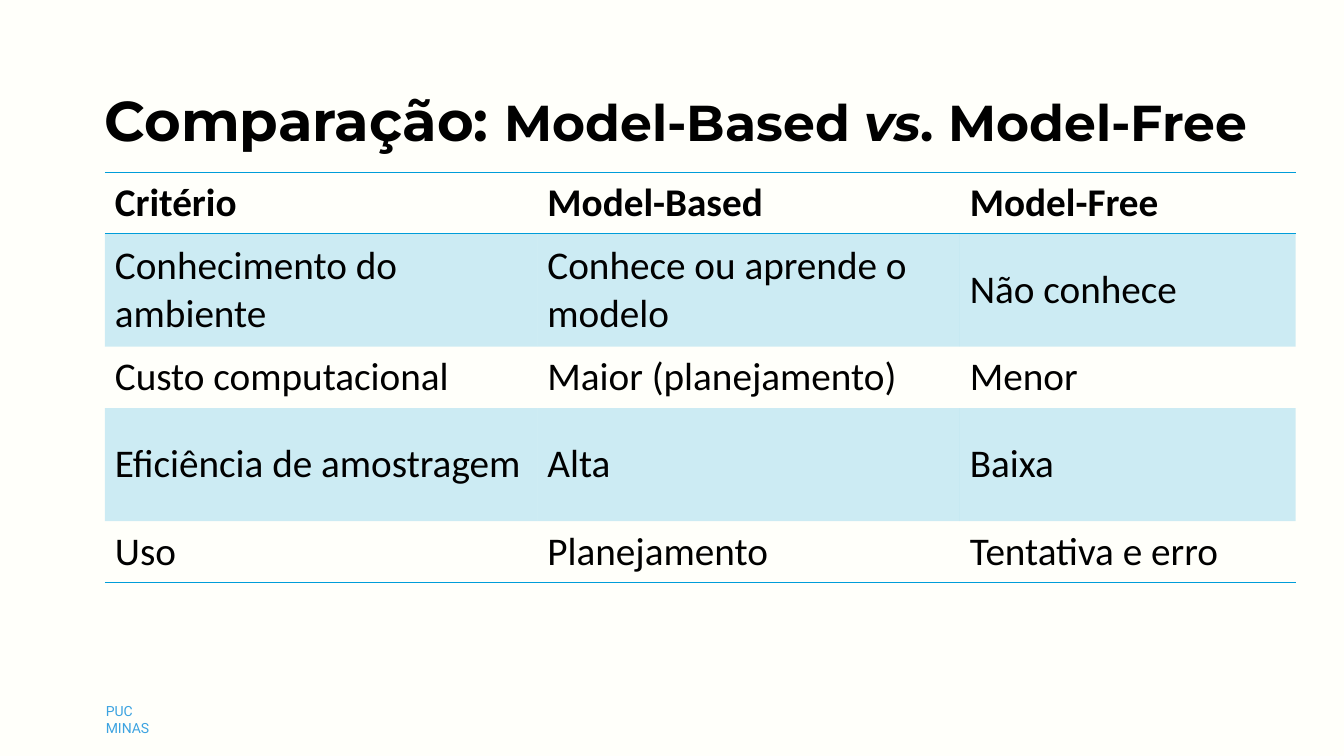
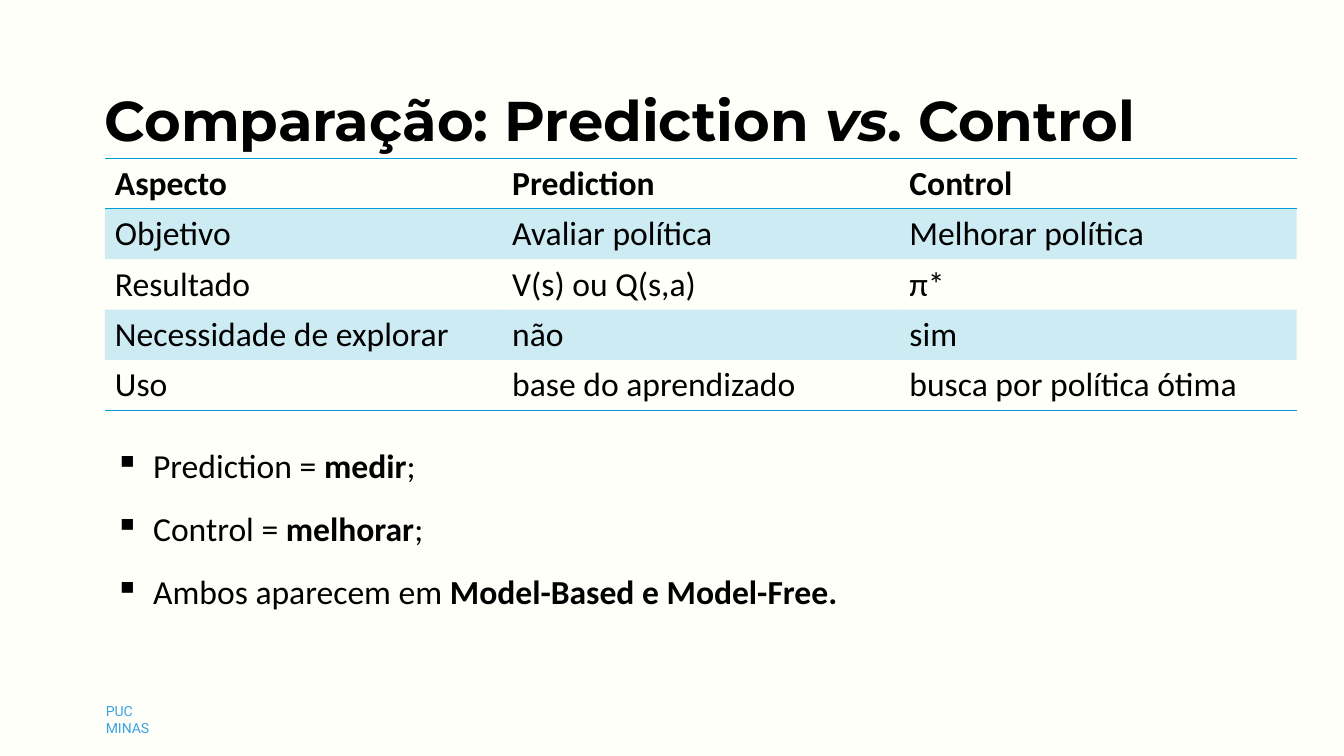
from dataclasses import dataclass

from lxml import etree
from pptx import Presentation
from pptx.dml.color import RGBColor
from pptx.enum.text import MSO_ANCHOR
from pptx.oxml.ns import qn
from pptx.slide import Slide
from pptx.table import _Cell
from pptx.text.text import TextFrame, _Paragraph
from pptx.util import Inches, Pt

MIDDLE = MSO_ANCHOR.MIDDLE
NO_GRID = "{2D5ABB26-0587-4C30-8999-92F81FD0307C}"


@dataclass(frozen=True)
class Theme:
    paper: RGBColor = RGBColor(0xFF, 0xFF, 0xFA)
    ink: RGBColor = RGBColor(0, 0, 0)
    rule: RGBColor = RGBColor(0x00, 0x9D, 0xD9)
    mark: RGBColor = RGBColor(0x3C, 0xA3, 0xE1)
    head_font: str = "Montserrat"
    body_font: str = "Calibri"
    foot_font: str = "Roboto"
    head: int = 40
    subhead: int = 36
    large: int = 28
    body: int = 24
    foot: int = 10
    tint: int = 20


@dataclass(frozen=True)
class Bit:
    text: str
    bold: bool = False
    slant: bool = False
    size: int = 0


@dataclass(frozen=True)
class Grid:
    top: float
    cols: tuple[float, ...]
    rows: tuple[float, ...]
    size: int
    cells: tuple[tuple[str, ...], ...]


@dataclass(frozen=True)
class Page:
    title: tuple[Bit, ...]
    grid: Grid
    points: tuple[tuple[Bit, ...], ...] = ()


THEME = Theme()
LEFT = 1.04

PAGES = (
    Page(
        title=(
            Bit("Comparação: ", True),
            Bit("Model-Based ", True, size=THEME.subhead),
            Bit("vs", True, True, THEME.subhead),
            Bit(". Model-Free", True, size=THEME.subhead),
        ),
        grid=Grid(
            1.71, (4.29, 4.19, 3.33), (0.61, 1.12, 0.61, 1.12, 0.61), THEME.large,
            (
                ("Critério", "Model-Based", "Model-Free"),
                ("Conhecimento do ambiente", "Conhece ou aprende o modelo", "Não conhece"),
                ("Custo computacional", "Maior (planejamento)", "Menor"),
                ("Eficiência de amostragem", "Alta", "Baixa"),
                ("Uso", "Planejamento", "Tentativa e erro"),
            ),
        ),
    ),
    Page(
        title=(
            Bit("Comparação: Prediction ", True),
            Bit("vs", True, True),
            Bit(". Control", True),
        ),
        grid=Grid(
            1.57, (3.94,) * 3, (0.5,) * 5, THEME.body,
            (
                ("Aspecto", "Prediction", "Control"),
                ("Objetivo", "Avaliar política", "Melhorar política"),
                ("Resultado", "V(s) ou Q(s,a)", "π*"),
                ("Necessidade de explorar", "não", "sim"),
                ("Uso", "base do aprendizado", "busca por política ótima"),
            ),
        ),
        points=(
            (Bit("Prediction = "), Bit("medir", True), Bit(";")),
            (Bit("Control = "), Bit("melhorar", True), Bit(";")),
            (Bit("Ambos aparecem em "), Bit("Model-Based e Model-Free.", True)),
        ),
    ),
)


def add_box(slide: Slide, left: float, top: float, width: float, height: float) -> TextFrame:
    box = slide.shapes.add_textbox(Inches(left), Inches(top), Inches(width), Inches(height))
    box.text_frame.word_wrap = True
    return box.text_frame


def write(para: _Paragraph, bits: tuple[Bit, ...], face: str, size: int, ink: RGBColor) -> None:
    for bit in bits:
        run = para.add_run()
        run.text = bit.text
        font = run.font
        font.name = face
        font.size = Pt(bit.size or size)
        font.bold = bit.bold
        font.italic = bit.slant
        font.color.rgb = ink


def add_foot(slide: Slide) -> None:
    frame = add_box(slide, 1.05, 6.97, 0.66, 0.17)
    frame.margin_left = frame.margin_right = frame.margin_top = frame.margin_bottom = 0
    write(frame.paragraphs[0], (Bit("PUC MINAS"),), THEME.foot_font, THEME.foot, THEME.mark)


def add_title(slide: Slide, bits: tuple[Bit, ...]) -> None:
    frame = add_box(slide, 0.94, 0.8, 11.61, 0.77)
    write(frame.paragraphs[0], bits, THEME.head_font, THEME.head, THEME.ink)


def fill_cell(cell: _Cell, shade: bool) -> None:
    if not shade:
        cell.fill.background()
        return
    cell.fill.solid()
    cell.fill.fore_color.rgb = THEME.rule
    tint = cell._tc.get_or_add_tcPr().find(f"{qn('a:solidFill')}/{qn('a:srgbClr')}")
    etree.SubElement(tint, qn("a:alpha"), val=str(THEME.tint * 1000))


def edge_cell(cell: _Cell, sides: str) -> None:
    props = cell._tc.get_or_add_tcPr()
    for spot, side in enumerate(sides):
        line = etree.Element(qn(f"a:ln{side}"), w=str(Pt(1)))
        fill = etree.SubElement(line, qn("a:solidFill"))
        etree.SubElement(fill, qn("a:srgbClr"), val=str(THEME.rule))
        props.insert(spot, line)


def add_grid(slide: Slide, grid: Grid) -> None:
    frame = slide.shapes.add_table(
        len(grid.rows), len(grid.cols), Inches(LEFT), Inches(grid.top),
        Inches(sum(grid.cols)), Inches(sum(grid.rows)),
    )
    table = frame.table
    table._tbl.tblPr.find(qn("a:tableStyleId")).text = NO_GRID
    for col, width in zip(table.columns, grid.cols):
        col.width = Inches(width)
    last = len(grid.rows) - 1
    for i, (row, height) in enumerate(zip(table.rows, grid.rows)):
        row.height = Inches(height)
        sides = "TB" if i == 0 else "B" if i == last else ""
        for cell, text in zip(row.cells, grid.cells[i]):
            cell.vertical_anchor = MIDDLE
            para = cell.text_frame.paragraphs[0]
            write(para, (Bit(text, i == 0),), THEME.body_font, grid.size, THEME.ink)
            fill_cell(cell, i % 2 == 1)
            edge_cell(cell, sides)


def add_points(slide: Slide, points: tuple[tuple[Bit, ...], ...]) -> None:
    frame = add_box(slide, LEFT, 4.31, 11.55, 1.89)
    for i, bits in enumerate(points):
        para = frame.add_paragraph() if i else frame.paragraphs[0]
        props = para._p.get_or_add_pPr()
        props.set("marL", str(Inches(0.38)))
        props.set("indent", str(Inches(-0.38)))
        etree.SubElement(props, qn("a:buChar"), char="▪")
        para.line_spacing = Pt(33)
        para.space_after = Pt(12)
        write(para, bits, THEME.body_font, THEME.body, THEME.ink)


def main() -> None:
    deck = Presentation()
    deck.slide_width = Inches(13.33)
    deck.slide_height = Inches(7.5)
    back = deck.slide_master.background.fill
    back.solid()
    back.fore_color.rgb = THEME.paper
    for page in PAGES:
        slide = deck.slides.add_slide(deck.slide_layouts[6])
        add_foot(slide)
        add_title(slide, page.title)
        add_grid(slide, page.grid)
        if page.points:
            add_points(slide, page.points)
    deck.save("out.pptx")


if __name__ == "__main__":
    main()
